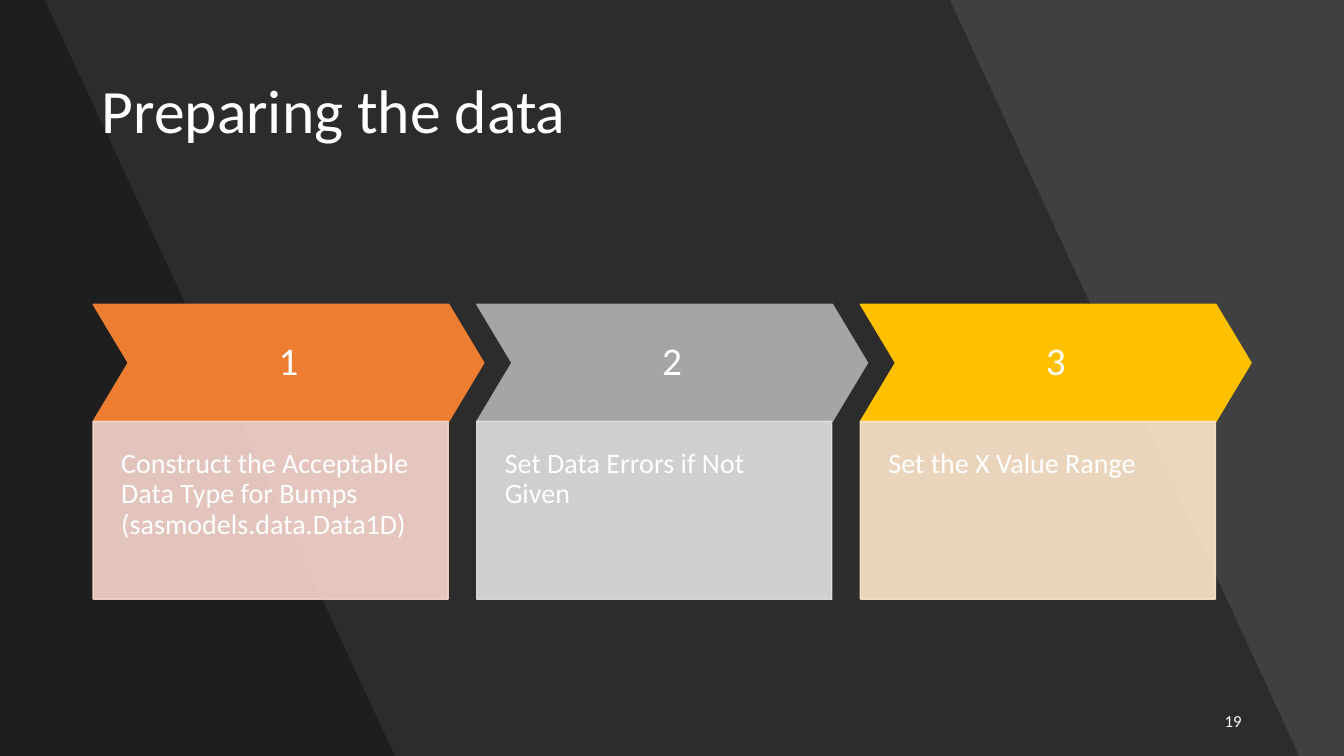
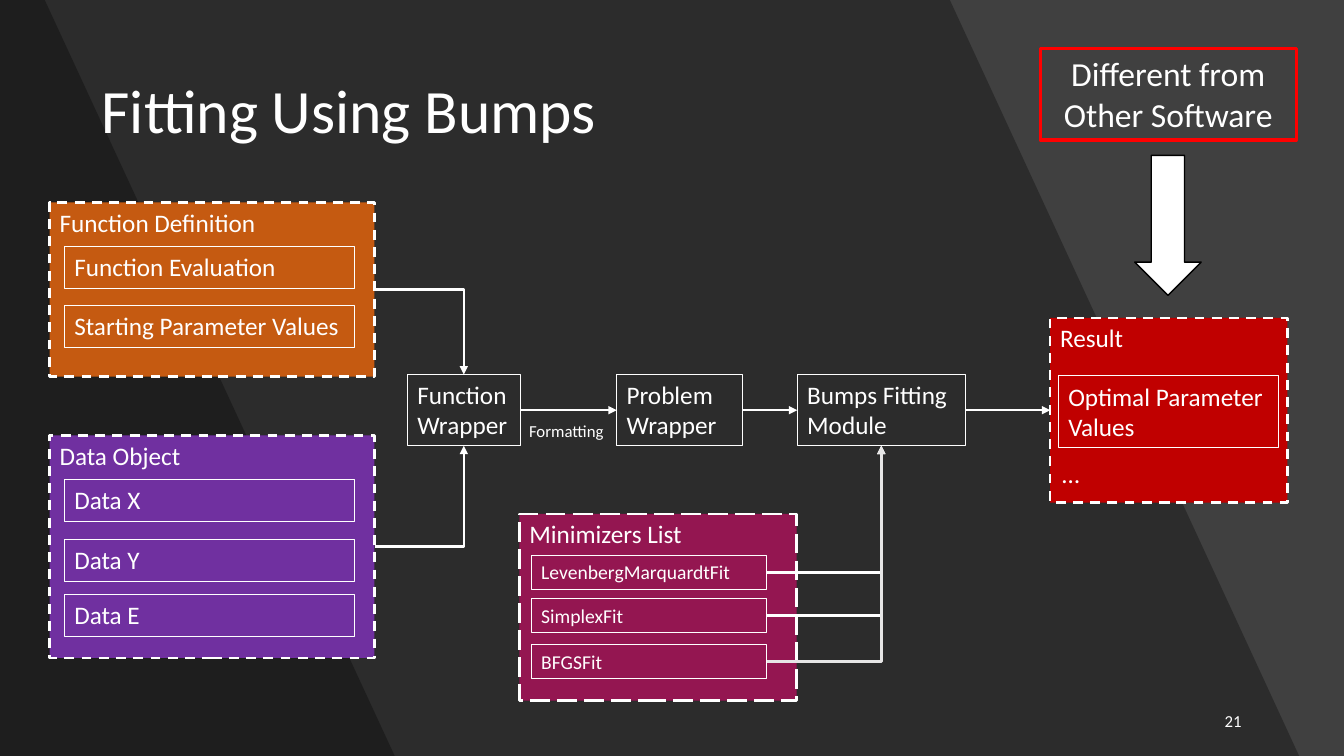
from pptx import Presentation
from pptx.dml.color import RGBColor
from pptx.enum.dml import MSO_LINE_DASH_STYLE as Dash
from pptx.enum.shapes import MSO_CONNECTOR as Link, MSO_SHAPE as Preset
from pptx.enum.text import MSO_ANCHOR as Anchor, PP_ALIGN as Align
from pptx.oxml.ns import qn
from pptx.util import Pt
from lxml.etree import SubElement

FONT = "Calibri"
WIDTH, HEIGHT = 960, 540
COLORS = {
    "page": "404040", "band": "000000", "text": "FFFFFF", "outline": "000000",
    "orange": "ED7D31", "gray": "A5A5A5", "gold": "FFC000",
    "orange_tint": "F8D7CE", "gray_tint": "E1E1E1", "gold_tint": "FFE8CC",
    "function": "C55A11", "data": "7030A0", "minimizers": "941651",
    "result": "C00000", "callout": "FF0000", "pale": "E7E6E6",
}
TOP, LEFT, BOTTOM, RIGHT = range(4)  # connection sites of a rectangle


# Shared styling
def paint(fill, color, alpha=100):
    """Set a solid colour; alpha is the opacity in percent."""
    fill.solid()
    fill.fore_color.rgb = RGBColor.from_string(COLORS[color])
    if alpha < 100:
        for node in fill._xPr.iter(qn("a:srgbClr")):
            SubElement(node, qn("a:alpha"), val=str(alpha * 1000))


def write(shape, text, size, align=Align.LEFT, anchor=Anchor.TOP,
          spacing=1.0, insets=(7.2, 3.6, 7.2, 3.6)):
    frame = shape.text_frame
    frame.text = text
    frame.word_wrap = True
    frame.vertical_anchor = anchor
    (frame.margin_left, frame.margin_top,
     frame.margin_right, frame.margin_bottom) = map(Pt, insets)
    for para in frame.paragraphs:
        para.alignment = align
        para.line_spacing = spacing
        for span in para.runs:
            span.font.name = FONT
            span.font.size = Pt(size)
            span.font.color.rgb = RGBColor.from_string(COLORS["text"])


# Basic elements
def add_box(page, place, fill=None, line="text", weight=0.75, dash=None,
            preset=Preset.RECTANGLE, alpha=100):
    box = page.shapes.add_shape(preset, *map(Pt, place))
    box.shadow.inherit = False
    if fill:
        paint(box.fill, fill, alpha)
    else:
        box.fill.background()
    paint(box.line.fill, line, alpha)
    box.line.width = Pt(weight)
    if dash:
        box.line.dash_style = dash
    return box


def add_label(page, place, text, size, **style):
    label = page.shapes.add_textbox(*map(Pt, place))
    write(label, text, size, **style)


def add_item(page, place, text, size=18):
    item = add_box(page, place)
    write(item, text, size)
    return item


def add_panel(page, place, title, fill, dash=Dash.DASH):
    panel = add_box(page, place, fill, weight=1.75, dash=dash)
    write(panel, title, 18)
    return panel


def add_arrow(page, start, start_site, end, end_site, color="text"):
    """Join two boxes, with one bend if the arrow ends at a top or bottom."""
    bent = end_site in (TOP, BOTTOM)
    arrow = page.shapes.add_connector(
        Link.ELBOW if bent else Link.STRAIGHT, 0, 0, 0, 0)
    arrow.begin_connect(start, start_site)
    arrow.end_connect(end, end_site)
    properties = arrow._element.spPr
    if bent:
        properties.find(qn("a:prstGeom")).set("prst", "bentConnector2")
    paint(arrow.line.fill, color)
    arrow.line.width = Pt(1.75)
    SubElement(properties.find(qn("a:ln")), qn("a:tailEnd"), type="triangle")
    SubElement(properties, qn("a:effectLst"))


# Frame of every page
def add_page(deck, title, number):
    page = deck.slides.add_slide(deck.slide_layouts[6])
    for top_right, bottom_right in ((678.5, 928), (32, 282)):
        outline = page.shapes.build_freeform(0, 0, scale=1.0)
        outline.add_line_segments([
            (Pt(top_right), 0), (Pt(bottom_right), Pt(HEIGHT)), (0, Pt(HEIGHT))])
        band = outline.convert_to_shape()
        band.shadow.inherit = False
        paint(band.fill, "band", 30)
        band.line.fill.background()
    add_label(page, (65.5, 28.8, 829, 104.4), title, 44,
              anchor=Anchor.MIDDLE, spacing=0.9)
    add_label(page, (678, 500.5, 216, 28.8), str(number), 12,
              align=Align.RIGHT, anchor=Anchor.MIDDLE)
    return page


# Page with three numbered steps
def add_step(page, index, text, color):
    left = 66.6 + 274 * index
    chevron = add_box(page, (left, 217.4, 279, 83.6), color, color, 1,
                      preset=Preset.CHEVRON)
    chevron.adjustments[0] = 0.3
    write(chevron, str(index + 1), 28, Align.CENTER, Anchor.MIDDLE, 0.9,
          (10, 10, 10, 10))
    tint = color + "_tint"
    body = add_box(page, (left, 301, 253.6, 127), tint, tint, 1, alpha=90)
    write(body, text, 20, spacing=0.9, insets=(20, 20, 20, 40))


def build_preparation(deck):
    page = add_page(deck, "Preparing the data", 19)
    steps = [
        ("Construct the Acceptable Data Type for Bumps (sasmodels.data.Data1D)",
         "orange"),
        ("Set Data Errors if Not Given", "gray"),
        ("Set the X Value Range", "gold"),
    ]
    for index, (text, color) in enumerate(steps):
        add_step(page, index, text, color)


# Page with the fitting flow
def build_fitting(deck):
    page = add_page(deck, "Fitting Using Bumps", 21)

    # Inputs
    function = add_panel(page, (35.5, 144.5, 232, 124.5),
                         "Function Definition", "function")
    data = add_panel(page, (35.5, 311, 232, 159), "Data Object", "data")
    inputs = [("Function Evaluation", 176), ("Starting Parameter Values", 218),
              ("Data X", 342.5), ("Data Y", 385.5), ("Data E", 424.5)]
    for text, top in inputs:
        add_item(page, (46, top, 207.5, 30), text)

    # Main chain
    wrapper, problem, module = [
        add_item(page, (left, 267.5, width, 51), text)
        for left, width, text in ((291, 80.6, "Function Wrapper"),
                                  (440.5, 90, "Problem Wrapper"),
                                  (569.5, 120, "Bumps Fitting Module"))]
    add_label(page, (370.8, 297, 114.5, 21.6), "Formatting", 12)

    # Result
    result = add_panel(page, (750.2, 227, 169.5, 132), "Result", "result")
    add_item(page, (756, 268.5, 157, 51), "Optimal Parameter\nValues")
    add_label(page, (751.5, 324, 168, 29), "…", 18)

    # Minimizers
    add_panel(page, (371, 367, 198, 133.5), "Minimizers List", "minimizers",
              Dash.LONG_DASH)
    minimizers = [
        add_item(page, (379.5, top, 168, 24.3), text, 14)
        for text, top in (("LevenbergMarquardtFit", 396.7),
                          ("SimplexFit", 427.5), ("BFGSFit", 460.5))]

    # Arrows
    add_arrow(page, function, RIGHT, wrapper, TOP)
    add_arrow(page, data, RIGHT, wrapper, BOTTOM)
    for start, end in ((wrapper, problem), (problem, module), (module, result)):
        add_arrow(page, start, RIGHT, end, LEFT)
    for minimizer, color in zip(minimizers, ("text", "text", "pale")):
        add_arrow(page, minimizer, RIGHT, module, BOTTOM, color)

    # Callout
    add_box(page, (810.5, 111, 47.5, 100), "text", "outline", 1,
            preset=Preset.DOWN_ARROW)
    callout = add_box(page, (743, 34.5, 183, 65.5), line="callout", weight=2.25)
    write(callout, "Different from Other Software", 24, Align.CENTER)


def main():
    deck = Presentation()
    deck.slide_width, deck.slide_height = Pt(WIDTH), Pt(HEIGHT)
    paint(deck.slide_master.background.fill, "page")
    build_preparation(deck)
    build_fitting(deck)
    deck.save("out.pptx")


if __name__ == "__main__":
    main()
